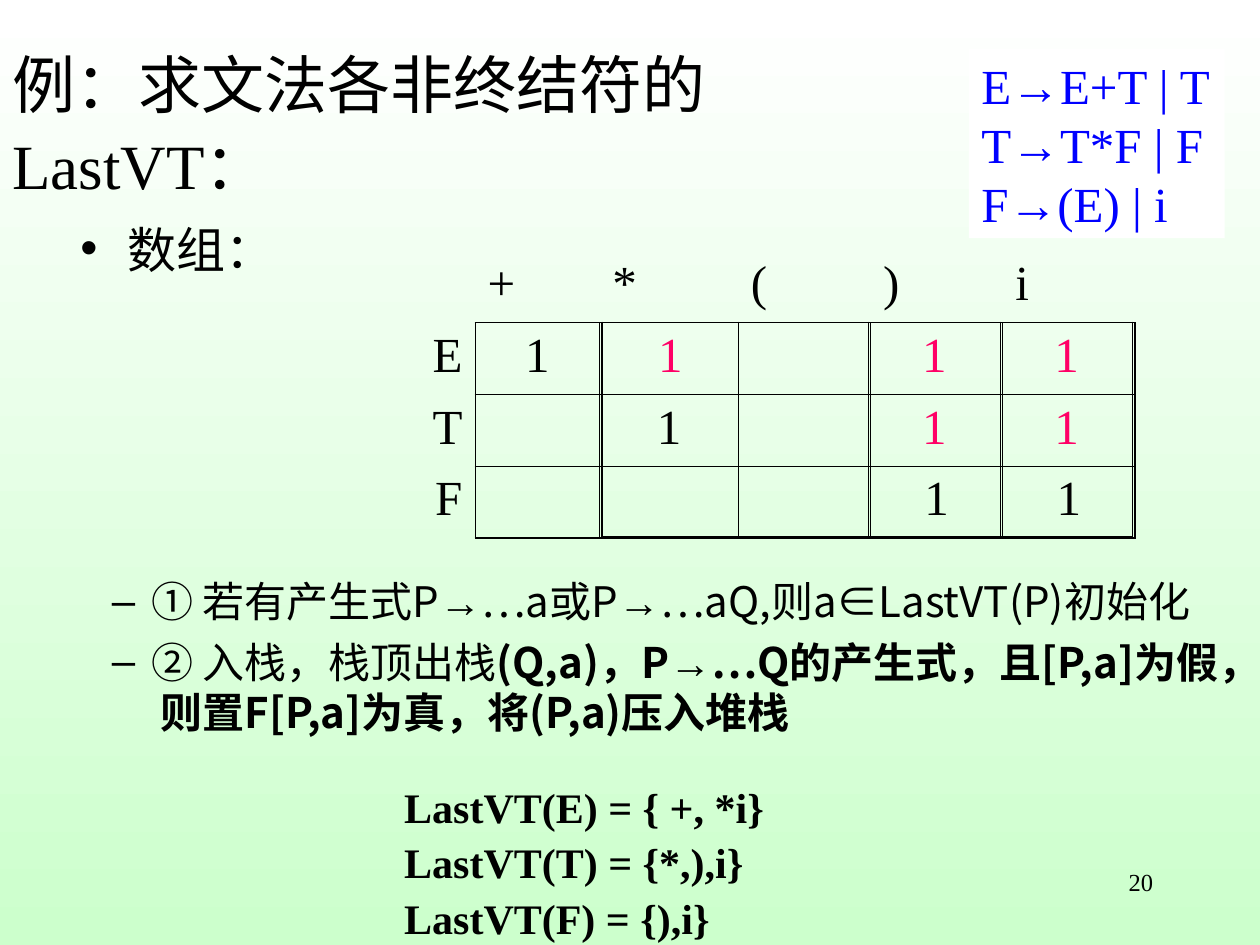
from lxml import etree
from pptx import Presentation
from pptx.dml.color import RGBColor
from pptx.enum.shapes import MSO_SHAPE
from pptx.enum.text import MSO_ANCHOR, PP_ALIGN
from pptx.oxml.ns import qn
from pptx.util import Pt

RECT = MSO_SHAPE.RECTANGLE
MIDDLE = MSO_ANCHOR.MIDDLE
LEFT, CENTER, RIGHT = PP_ALIGN.LEFT, PP_ALIGN.CENTER, PP_ALIGN.RIGHT
BLACK = RGBColor(0x00, 0x00, 0x00)
WHITE = RGBColor(0xFF, 0xFF, 0xFF)
MINT = RGBColor(0xCC, 0xFF, 0xCC)
BLUE = RGBColor(0x00, 0x00, 0xFF)
PINK = RGBColor(0xFF, 0x00, 0x66)
SERIF, SANS, ARROW = "Times New Roman", "Noto Sans CJK JP", "Arial"
THIN, THICK = 0.45, 1.08


def write(par, text, size, color=BLACK, face=SERIF, bold=False):
    """Add text to a paragraph: newlines become breaks, arrows get their own font."""
    for num, line in enumerate(text.split("\n")):
        if num:
            par.add_line_break()
        for part in line.replace("→", "\t→\t").split("\t"):
            run = par.add_run()
            run.text = part
            look = {"size": Pt(size), "bold": bold,
                    "name": ARROW if part == "→" else face}
            for key, value in look.items():
                setattr(run.font, key, value)
            run.font.color.rgb = color


def indent(par, left, hang=0, bullet=None):
    props = par._p.get_or_add_pPr()
    props.set("marL", str(Pt(left)))
    props.set("indent", str(-Pt(hang)))
    if bullet:
        tint = etree.SubElement(props, qn("a:buClr"))
        etree.SubElement(tint, qn("a:srgbClr"), val=str(BLACK))
        etree.SubElement(props, qn("a:buFont"), typeface=ARROW)
        etree.SubElement(props, qn("a:buChar"), char=bullet)


prs = Presentation()
prs.slide_width, prs.slide_height = Pt(720), Pt(540)
slide = prs.slides.add_slide(prs.slide_layouts[6])
back = slide.background.fill
back.gradient()
back.gradient_angle = 270
for stop, color in zip(back.gradient_stops, (WHITE, MINT)):
    stop.color.rgb = color

# Text boxes, from back to front
boxes = {
    "title": (0, 34.56, 566.64, 69.84),
    "body": (38.88, 128.16, 342.72, 36),
    "sets": (79.92, 442.8, 480.24, 96.48),
    "page": (516.24, 491.76, 149.76, 36),
    "steps": (20.88, 322.56, 699.12, 113.04),
}
frames = {}
for name, box in boxes.items():
    frames[name] = slide.shapes.add_textbox(*map(Pt, box)).text_frame
    frames[name].word_wrap = True

title = frames["title"]
title.vertical_anchor = MIDDLE
title.margin_right = Pt(36)
title.paragraphs[0].line_spacing = Pt(46)
write(title.paragraphs[0], "例：求文法各非终结符的LastVT：", 36)

par = frames["body"].paragraphs[0]
indent(par, 27, 27, "•")
par.line_spacing = 0.8
write(par, "数组：", 28)

sets = frames["sets"]
for num, text in enumerate(("LastVT(E) = { +, *i}", "LastVT(T) = {*,),i}", "LastVT(F) = {),i}")):
    par = sets.add_paragraph() if num else sets.paragraphs[0]
    indent(par, 144)
    if num:
        par.space_before = Pt(3)
    write(par, text, 24, bold=True)

par = frames["page"].paragraphs[0]
par.alignment = RIGHT
write(par, "20", 14)

steps = frames["steps"]
steps.margin_top = Pt(6.6)
items = (
    ("① 若有产生式P→…a或P→…aQ,则a∈LastVT(P)初始化", ""),
    ("② 入栈，栈顶出栈", "(Q,a)，P→…Q的产生式，且[P,a]为假， 则置F[P,a]为真，将(P,a)压入堆栈"),
)
for num, (plain, strong) in enumerate(items):
    par = steps.add_paragraph() if num else steps.paragraphs[0]
    indent(par, 58.5, 22.5, "–")
    par.line_spacing = Pt(28.6)
    if num:
        par.space_before = Pt(6)
    write(par, plain, 24, face=SANS)
    if strong:
        write(par, strong, 24, face=SANS, bold=True)

# Grammar rules
card = slide.shapes.add_shape(RECT, Pt(553.68), Pt(28.08), Pt(146.16), Pt(108))
card.shadow.inherit = False
card.fill.solid()
card.fill.fore_color.rgb = WHITE
card.line.fill.background()
card.text_frame.word_wrap = False
par = card.text_frame.paragraphs[0]
par.alignment = LEFT
write(par, "E→E+T | T\nT→T*F | F\nF→(E) | i", 28, BLUE)

# Base grid with headings, then the overlay of derived marks
grids = (
    (195.84, 143.28, (75.6, 71.28, 79.2, 75.6, 75.6, 75.6), (41,) * 4, 1, BLACK,
     (("", "+", "*", "(", ")", "i"),
      ("E", "1", "", "", "", ""),
      ("T", "", "1", "", "", ""),
      ("F", "", "", "", "1", "1"))),
    (344.16, 184.32, (77.76, 74.16, 75.6, 75.6), (41, 81.5), 0, PINK,
     (("1", "", "1", "1"),
      ("", "", "1", "1"))),
)
for left, top, widths, heights, head, color, rows in grids:
    frame = slide.shapes.add_table(len(heights), len(widths), Pt(left), Pt(top),
                                   Pt(sum(widths)), Pt(sum(heights)))
    table = frame.table
    table.first_row = table.horz_banding = False
    for col, width in zip(table.columns, widths):
        col.width = Pt(width)
    for row, height in zip(table.rows, heights):
        row.height = Pt(height)
    for r, texts in enumerate(rows):
        for c, text in enumerate(texts):
            cell = table.cell(r, c)
            low, side = r >= head, c >= head
            edges = {
                "a:lnL": (low and side, not head and c == 0),
                "a:lnR": (low, c == len(widths) - 1),
                "a:lnT": (low and side, not head and r == 0),
                "a:lnB": (side, r == len(heights) - 1),
            }
            props = cell._tc.get_or_add_tcPr()
            for tag, (shown, heavy) in edges.items():
                line = etree.SubElement(props, qn(tag), w=str(Pt(THICK if heavy else THIN)))
                if shown:
                    ink = etree.SubElement(line, qn("a:solidFill"))
                    etree.SubElement(ink, qn("a:srgbClr"), val=str(BLACK))
                else:
                    etree.SubElement(line, qn("a:noFill"))
            cell.fill.background()
            if text:
                par = cell.text_frame.paragraphs[0]
                par.alignment = LEFT if not low else CENTER if side else RIGHT
                write(par, text, 28, color)

prs.save("out.pptx")
